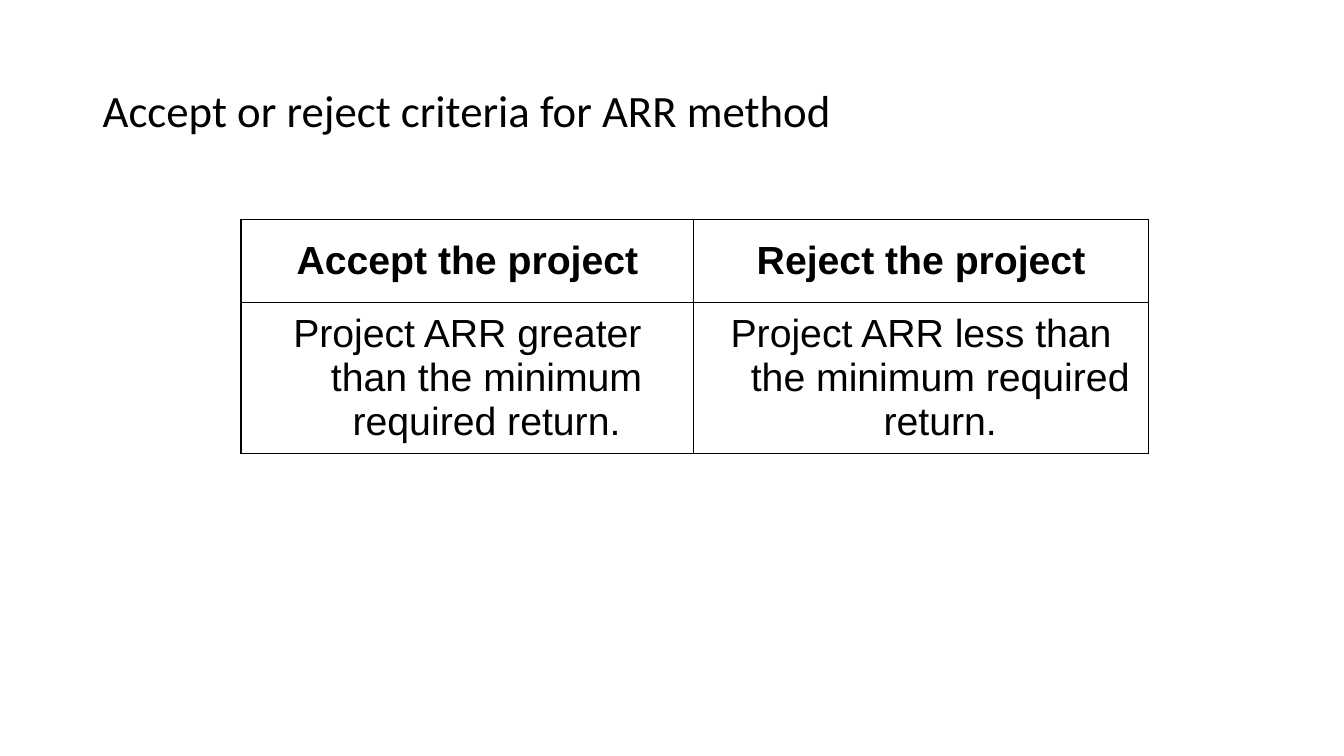
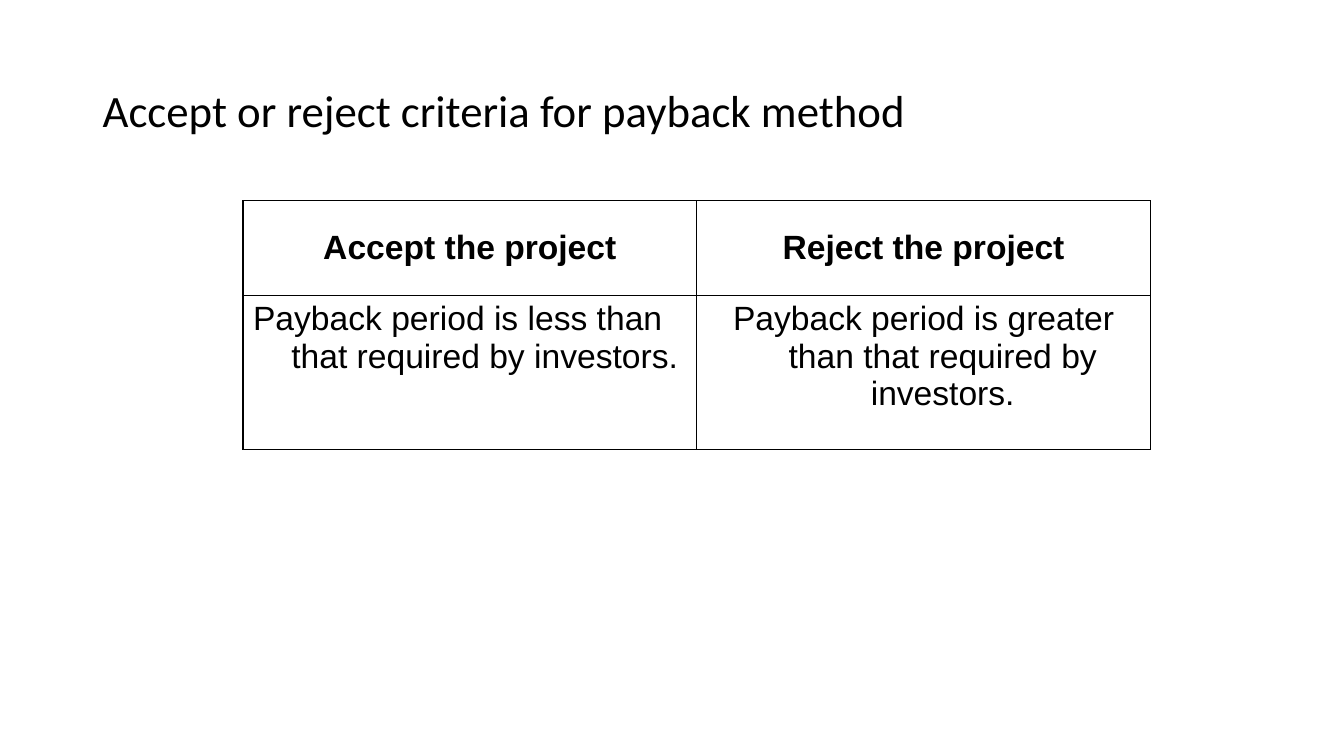
from lxml import etree
from pptx import Presentation
from pptx.dml.color import RGBColor
from pptx.enum.text import MSO_ANCHOR, PP_ALIGN
from pptx.oxml.ns import qn
from pptx.util import Pt

PX = 9144  # EMU; 100 px to the inch
COLORS = {"text": "000000", "paper": "FFFFFF", "border": "000000"}
TITLE_FONT, TABLE_FONT = "Calibri", "Arial"
LEFT, CENTER = PP_ALIGN.LEFT, PP_ALIGN.CENTER
TOP, MIDDLE = MSO_ANCHOR.TOP, MSO_ANCHOR.MIDDLE
HANGING = 38
HEADINGS = ("Accept the project", "Reject the project")


def px(length):
    return length * PX


def color(name):
    return RGBColor.from_string(COLORS[name])


def write(frame, text, font, size, bold=False, align=LEFT, hanging=0, spacing=None):
    para = frame.paragraphs[0]
    para.alignment = align
    if spacing:
        para.line_spacing = spacing
    if hanging:
        properties = para._p.get_or_add_pPr()
        properties.set("marL", str(px(hanging)))
        properties.set("indent", str(px(-hanging)))
    span = para.add_run()
    span.text = text
    span.font.name = font
    span.font.size = Pt(size)
    span.font.bold = bold
    span.font.color.rgb = color("text")


def add_title(page, text):
    box = page.shapes.add_textbox(px(92), px(40), px(1150), px(145))
    frame = box.text_frame
    frame.word_wrap = True
    frame.vertical_anchor = MIDDLE
    write(frame, text, TITLE_FONT, 32, spacing=0.9)


def add_borders(cell):
    """Draw 1 pt lines on all sides; call before the fill is set."""
    properties = cell._tc.get_or_add_tcPr()
    for side in ("lnL", "lnR", "lnT", "lnB"):
        line = etree.SubElement(properties, qn(f"a:{side}"), w=str(Pt(1)))
        fill = etree.SubElement(line, qn("a:solidFill"))
        etree.SubElement(fill, qn("a:srgbClr"), val=COLORS["border"])


def add_criteria(page, left, top, columns, rows, criteria, size,
                 aligns=(CENTER, CENTER), anchor=MIDDLE):
    """Add a table of headings over criteria; aligns and anchor format the criteria."""
    table = page.shapes.add_table(2, 2, px(left), px(top),
                                  px(sum(columns)), px(sum(rows))).table
    table.first_row = table.horz_banding = False
    for column, width in zip(table.columns, columns):
        column.width = px(width)
    for row, height in zip(table.rows, rows):
        row.height = px(height)
    lines = ((HEADINGS, True, (CENTER, CENTER), MIDDLE),
             (criteria, False, aligns, anchor))
    for row, (texts, bold, row_aligns, row_anchor) in enumerate(lines):
        for column, (text, align) in enumerate(zip(texts, row_aligns)):
            cell = table.cell(row, column)
            add_borders(cell)
            cell.fill.solid()
            cell.fill.fore_color.rgb = color("paper")
            cell.vertical_anchor = row_anchor
            write(cell.text_frame, text, TABLE_FONT, size, bold=bold,
                  align=align, hanging=HANGING)


def add_page(deck, title):
    page = deck.slides.add_slide(deck.slide_layouts[6])
    add_title(page, title)
    return page


def main():
    deck = Presentation()
    deck.slide_width, deck.slide_height = px(1333), px(750)

    page = add_page(deck, "Accept or reject criteria for ARR method")
    add_criteria(page, 239, 218, (449, 451), (82, 150),
                 ("Project ARR greater than the minimum required return.",
                  "Project ARR less than the minimum required return."), 28)

    page = add_page(deck, "Accept or reject criteria for payback method")
    add_criteria(page, 241, 199, (450, 450), (94, 153),
                 ("Payback period is less than that required by investors.",
                  "Payback period is greater than that required by investors."), 24,
                 aligns=(LEFT, CENTER), anchor=TOP)

    deck.save("out.pptx")


if __name__ == "__main__":
    main()
